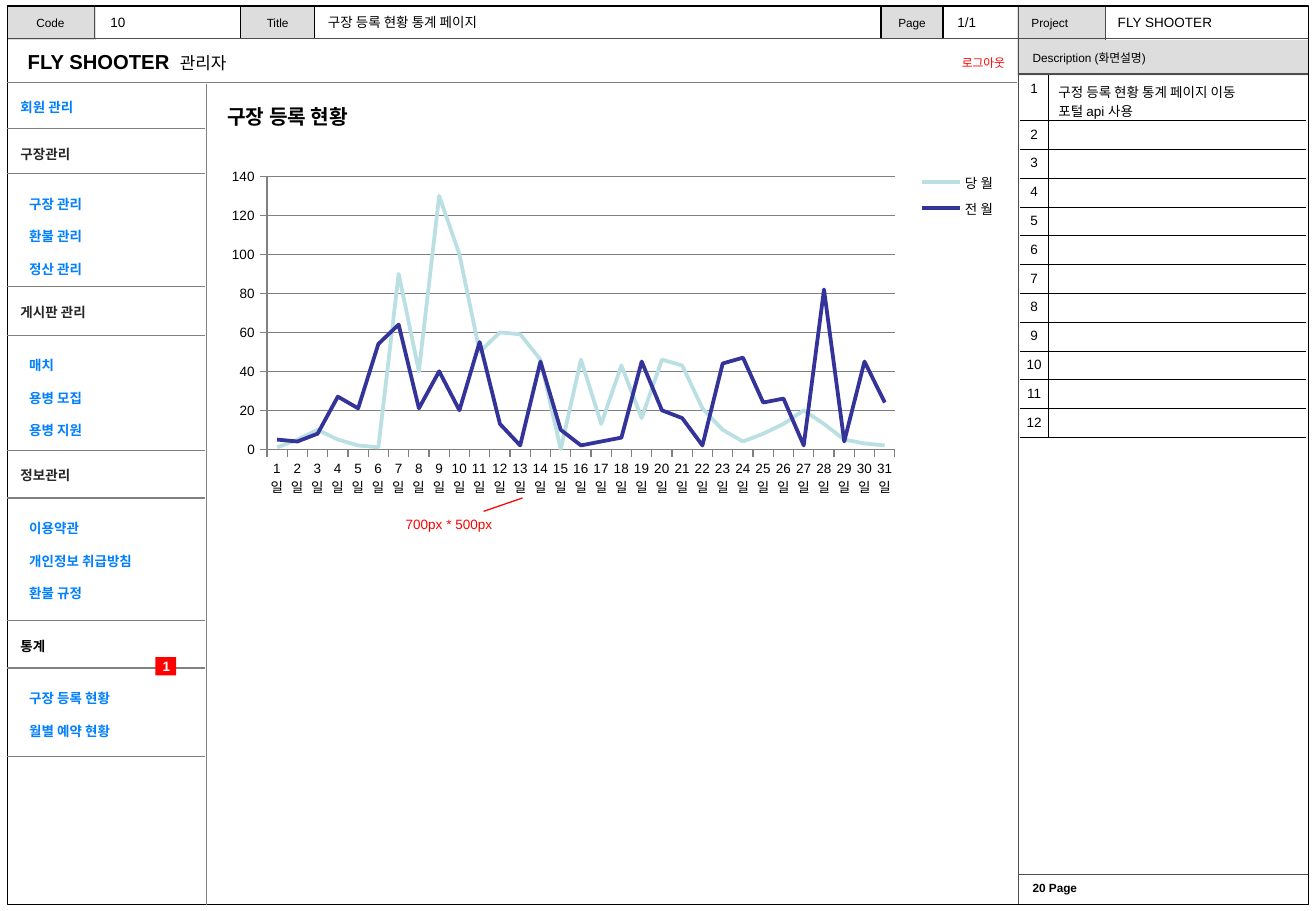
from lxml import etree
from pptx import Presentation
from pptx.chart.data import CategoryChartData
from pptx.dml.color import RGBColor
from pptx.enum.chart import XL_CHART_TYPE, XL_LEGEND_POSITION, XL_TICK_MARK
from pptx.enum.shapes import MSO_CONNECTOR, MSO_SHAPE
from pptx.enum.text import MSO_ANCHOR, MSO_AUTO_SIZE, PP_ALIGN
from pptx.oxml import parse_xml
from pptx.oxml.ns import nsdecls, qn
from pptx.util import Inches, Pt

LEFT, CENTER, RIGHT = PP_ALIGN.LEFT, PP_ALIGN.CENTER, PP_ALIGN.RIGHT
TOP, MIDDLE = MSO_ANCHOR.TOP, MSO_ANCHOR.MIDDLE
LATIN, KOREAN = "Arial", "Noto Sans CJK KR"
BLACK, WHITE, RED, BLUE = "000000", "FFFFFF", "FF0000", "0080FF"
DARK, FRAME, RULE, PANEL = "262626", "4D4D4D", "808080", "DDDDDD"
NO_TABLE_STYLE = "{2D5ABB26-0587-4C30-8999-92F81FD0307C}"

# heading, heading colour, top of section, top of item list, items
MENU = [
    ("회원 관리", BLUE, 0.68, None, []),
    ("구장관리", DARK, 1.06, 1.43, ["구장 관리", "환불 관리", "정산 관리"]),
    ("게시판 관리", DARK, 2.36, 2.76, ["매치", "용병 모집", "용병 지원"]),
    ("정보관리", DARK, 3.71, 4.1, ["이용약관", "개인정보 취급방침", "환불 규정"]),
    ("통계", BLACK, 5.11, 5.5, ["구장 등록 현황", "월별 예약 현황"]),
]
MENU_END = 6.23
DESCRIPTION = ["구정 등록 현황 통계 페이지 이동", "포털 api 사용"]
THIS_MONTH = [1, 5, 10, 5, 2, 1, 90, 40, 130, 100, 50, 60, 59, 46, 0, 46,
              13, 43, 16, 46, 43, 21, 10, 4, 8, 13, 20, 13, 5, 3, 2]
LAST_MONTH = [5, 4, 8, 27, 21, 54, 64, 21, 40, 20, 55, 13, 2, 45, 10, 2,
              4, 6, 45, 20, 16, 2, 44, 47, 24, 26, 2, 82, 4, 45, 24]


def rgb(value):
    """Turn a hex string into a colour."""
    return RGBColor.from_string(value)


def add_run(paragraph, text, size=8, color=BLACK, bold=False, font=LATIN):
    """Append one formatted run."""
    run = paragraph.add_run()
    run.text = text
    run.font.name, run.font.size, run.font.bold = font, Pt(size), bold
    run.font.color.rgb = rgb(color)
    etree.SubElement(run._r.get_or_add_rPr(), qn("a:ea"), typeface=KOREAN)


def place(shape, left, top, width, height):
    """Move and size a shape, in inches."""
    shape.left, shape.top = Inches(left), Inches(top)
    shape.width, shape.height = Inches(width), Inches(height)


def set_frame(frame, anchor):
    """Wrap text without resizing it."""
    frame.word_wrap = True
    frame.auto_size = MSO_AUTO_SIZE.NONE
    frame.vertical_anchor = anchor


def add_label(slide, box, text, align=LEFT, anchor=TOP, **style):
    """Add a one-line text box and return its paragraph."""
    label = slide.shapes.add_textbox(*map(Inches, box))
    set_frame(label.text_frame, anchor)
    paragraph = label.text_frame.paragraphs[0]
    paragraph.alignment = align
    add_run(paragraph, text, **style)
    return paragraph


def add_box(slide, box, fill=None, line=None):
    """Add a plain rectangle."""
    rectangle = slide.shapes.add_shape(MSO_SHAPE.RECTANGLE, *map(Inches, box))
    rectangle.shadow.inherit = False
    if fill:
        rectangle.fill.solid()
        rectangle.fill.fore_color.rgb = rgb(fill)
    else:
        rectangle.fill.background()
    if line:
        rectangle.line.color.rgb = rgb(line)
        rectangle.line.width = Pt(0.75)
    else:
        rectangle.line.fill.background()


def add_line(slide, x1, y1, x2, y2, color):
    """Add a thin straight line."""
    line = slide.shapes.add_connector(
        MSO_CONNECTOR.STRAIGHT, *map(Inches, (x1, y1, x2, y2)))
    line.line.color.rgb = rgb(color)
    line.line.width = Pt(0.75)
    etree.SubElement(line._element.spPr, qn("a:effectLst"))


def fill_menu_list(holder, top, items):
    """Turn a body placeholder into a list of menu links."""
    place(holder, 0.14, top, 1.4, 0.3 * len(items) + 0.1)
    frame = holder.text_frame
    set_frame(frame, TOP)
    for index, item in enumerate(items):
        paragraph = frame.add_paragraph() if index else frame.paragraphs[0]
        paragraph.line_spacing = 2.0
        paragraph.space_before = Pt(0)
        properties = paragraph._p.get_or_add_pPr()
        properties.set("marL", "0")
        properties.set("indent", "0")
        etree.SubElement(properties, qn("a:buNone"))
        add_run(paragraph, item, color=BLUE, bold=True)


def add_menu(slide, holders):
    """Draw the sidebar sections with their rules."""
    for heading, color, top, list_top, items in MENU:
        add_line(slide, 0.06, top, 1.69, top, RULE)
        add_label(slide, (0.07, top + 0.09, 1.5, 0.24), heading,
                  color=color, bold=True)
        if items:
            add_line(slide, 0.06, list_top, 1.69, list_top, RULE)
            fill_menu_list(next(holders), list_top, items)
    add_line(slide, 0.06, MENU_END, 1.69, MENU_END, RULE)


def add_header(slide):
    """Draw the frame, the top bar and the page heading."""
    for box, line in [((8.37, 0.33, 2.4, 0.29), None),
                      ((7.25, 0.05, 0.51, 0.27), BLACK),
                      ((1.98, 0.05, 0.61, 0.27), BLACK),
                      ((0.06, 0.06, 0.73, 0.27), None),
                      ((8.37, 0.06, 0.73, 0.27), None)]:
        add_box(slide, box, PANEL, line)
    for left, width, text in [(0.07, 0.69, "Code"), (1.98, 0.61, "Title"),
                              (7.25, 0.51, "Page")]:
        add_label(slide, (left, 0.05, width, 0.27), text, CENTER, MIDDLE, size=7)
    add_label(slide, (8.39, 0.08, 0.72, 0.24), "Project", size=7)
    add_label(slide, (8.4, 0.33, 2.3, 0.29), "Description (화면설명)",
              anchor=MIDDLE, size=7)
    for left, width, text in [(0.81, 0.6, "10"), (7.78, 0.6, "1/1"),
                              (2.6, 4.65, "구장 등록 현황 통계 페이지"),
                              (9.1, 1.62, "FLY SHOOTER")]:
        add_label(slide, (left, 0.07, width, 0.24), text)
    add_label(slide, (8.4, 7.2, 2.3, 0.22), "20 Page", size=7, bold=True)
    for ends in [(8.38, 0.05, 8.38, 7.45), (0.07, 0.32, 10.77, 0.32),
                 (9.1, 0.06, 9.1, 0.33), (8.39, 7.2, 10.77, 7.2),
                 (8.39, 0.61, 10.77, 0.61), (0.78, 0.06, 0.78, 0.32)]:
        add_line(slide, *ends, FRAME)
    add_box(slide, (0.06, 0.05, 10.71, 7.4), line=BLACK)
    add_line(slide, 0.07, 0.68, 8.37, 0.68, RULE)
    add_line(slide, 1.7, 0.69, 1.7, 7.45, RULE)
    site = add_label(slide, (0.13, 0.36, 6.45, 0.3), "FLY SHOOTER ",
                     anchor=MIDDLE, size=12, bold=True)
    add_run(site, " 관리자", size=10)
    add_label(slide, (7.2, 0.41, 1.17, 0.22), "로그아웃", RIGHT, size=7, color=RED)


def border(cell, *sides):
    """Draw thin black borders on the given sides, ahead of the fill."""
    properties = cell._tc.get_or_add_tcPr()
    for position, side in enumerate(sides):
        properties.insert(position, parse_xml(
            f'<a:{side} {nsdecls("a")} w="9525"><a:solidFill>'
            f'<a:srgbClr val="{BLACK}"/></a:solidFill></a:{side}>'))


def add_descriptions(slide):
    """Add the numbered description table."""
    count, first_height, total = 12, 0.36, 2.87
    table = slide.shapes.add_table(
        count, 2, *map(Inches, (8.39, 0.62, 2.36, total))).table
    table.first_row = table.horz_banding = False
    table._tbl.tblPr.find(qn("a:tableStyleId")).text = NO_TABLE_STYLE
    table.columns[0].width, table.columns[1].width = Inches(0.24), Inches(2.12)
    for index, row in enumerate(table.rows):
        row.height = Inches((total - first_height) / (count - 1) if index else first_height)
        number, detail = row.cells
        for cell, margin in ((number, 0.04), (detail, 0.08)):
            cell.fill.background()
            cell.margin_left = cell.margin_right = Inches(margin)
            cell.margin_top = Inches(0.05)
            cell.margin_bottom = Inches(0.05 if index else 0)
        border(number, "lnR", "lnB")
        border(detail, "lnL", "lnB")
        paragraph = number.text_frame.paragraphs[0]
        paragraph.alignment = CENTER
        add_run(paragraph, str(index + 1))
        paragraph = detail.text_frame.paragraphs[0]
        if index:
            etree.SubElement(paragraph._p, qn("a:endParaRPr"), sz="800")
        else:
            add_run(paragraph, DESCRIPTION[0])
            add_run(detail.text_frame.add_paragraph(), DESCRIPTION[1])


def set_layout(parent, x, y, width, height, inner=False):
    """Return a manual chart layout attached to a plot area or legend."""
    old = parent.find(qn("c:layout"))
    if old is not None:
        parent.remove(old)
    target = '<c:layoutTarget val="inner"/>' if inner else ""
    layout = parse_xml(
        f'<c:layout {nsdecls("c")}><c:manualLayout>{target}'
        '<c:xMode val="edge"/><c:yMode val="edge"/>'
        f'<c:x val="{x}"/><c:y val="{y}"/><c:w val="{width}"/><c:h val="{height}"/>'
        '</c:manualLayout></c:layout>')
    parent.insert(0 if inner else 1, layout)


def add_registrations(slide):
    """Add the line chart of daily registrations."""
    data = CategoryChartData()
    data.categories = [f"{day}일" for day in range(1, 32)]
    data.add_series("당 월", THIS_MONTH)
    data.add_series("전 월", LAST_MONTH)
    chart = slide.shapes.add_chart(
        XL_CHART_TYPE.LINE, *map(Inches, (1.81, 1.34, 6.46, 2.81)), data).chart
    chart.has_title = False
    chart.font.name, chart.font.size = LATIN, Pt(8)
    chart.font.color.rgb = rgb(BLACK)
    chart.has_legend = True
    chart.legend.position = XL_LEGEND_POSITION.RIGHT
    chart.legend.include_in_layout = False
    chart.legend.font.size = Pt(8)
    plot = chart.plots[0]
    plot.vary_by_categories = False
    for series, color in zip(plot.series, ("BBE0E3", "333399")):
        series.smooth = False
        series.format.line.color.rgb = rgb(color)
        series.format.line.width = Pt(2.25)
    days, counts = chart.category_axis, chart.value_axis
    for axis in (days, counts):
        axis.major_tick_mark = XL_TICK_MARK.OUTSIDE
        axis.minor_tick_mark = XL_TICK_MARK.NONE
        axis.tick_labels.font.size = Pt(8)
        axis.format.line.color.rgb = rgb(RULE)
    days._element.find(qn("c:txPr")).find(qn("a:bodyPr")).set("rot", "0")
    counts.minimum_scale, counts.maximum_scale, counts.major_unit = 0, 140, 20
    counts.major_gridlines.format.line.color.rgb = rgb(RULE)
    set_layout(plot._element.getparent(), 0.06, 0.04, 0.8, 0.8, inner=True)
    set_layout(chart.legend._element, 0.88, 0.01, 0.12, 0.17)


def main():
    """Build the page and save it."""
    deck = Presentation()
    deck.slide_width, deck.slide_height = Inches(10.83), Inches(7.5)
    slide = deck.slides.add_slide(deck.slide_layouts[4])
    title, *lists = list(slide.placeholders)
    add_header(slide)
    add_menu(slide, iter(lists))
    place(title, 1.77, 0.81, 3, 0.3)
    set_frame(title.text_frame, TOP)
    heading = title.text_frame.paragraphs[0]
    heading.alignment = LEFT
    add_run(heading, "구장 등록 현황", size=12, bold=True, font=KOREAN)
    add_descriptions(slide)
    add_box(slide, (1.28, 5.41, 0.17, 0.15), RED)
    add_label(slide, (1.22, 5.36, 0.3, 0.25), "1", CENTER, MIDDLE, color=WHITE, bold=True)
    add_registrations(slide)
    add_line(slide, 3.98, 4.21, 4.3, 4.1, RED)
    add_label(slide, (3.24, 4.2, 1.1, 0.24), "700px * 500px", color=RED)
    deck.save("out.pptx")


if __name__ == "__main__":
    main()
